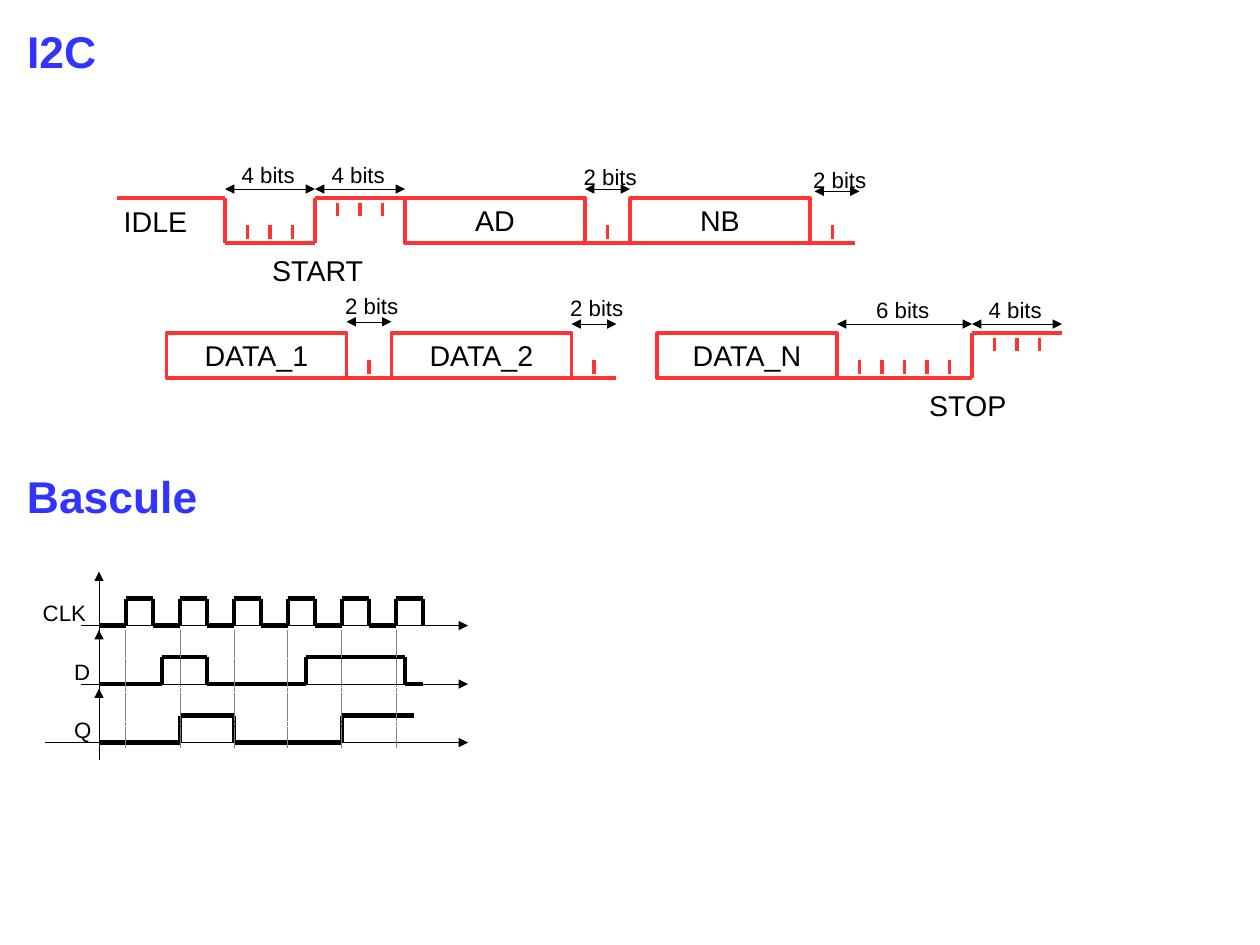
from pptx import Presentation
from pptx.dml.color import RGBColor
from pptx.enum.dml import MSO_LINE
from pptx.enum.shapes import MSO_CONNECTOR, MSO_SHAPE
from pptx.enum.text import MSO_ANCHOR, MSO_AUTO_SIZE, PP_ALIGN
from pptx.oxml.ns import qn
from pptx.util import Cm, Pt
from lxml.etree import SubElement

COLORS = {"signal": "FF3333", "ink": "000000", "guide": "808080", "title": "3333FF"}
FONT = "Arial"
WIDTH, HEIGHT = 28, 21
BIT, SWING, TICK = 0.5, 1.0, 0.3
HALF_CLOCK, CLOCK_SWING, ORIGIN = 0.6, 0.6, 2.2

FRAMES = [
    (2.6, 4.4, [("idle", 4.8, ""), ("low", 4, "4 bits"), ("high", 4, "4 bits"),
                ("box", 8, "AD"), ("low", 2, "2 bits"),
                ("box", 8, "NB"), ("low", 2, "2 bits")]),
    (3.7, 7.4, [("box", 8, "DATA_1"), ("low", 2, "2 bits"),
                ("box", 8, "DATA_2"), ("low", 2, "2 bits")]),
    (14.6, 7.4, [("box", 8, "DATA_N"), ("low", 6, "6 bits"), ("high", 4, "4 bits")]),
]
SPAN_OFFSETS = {(18, 4.4): (0.1, 0.05), (7.7, 7.4): (0, -0.05)}
LABEL_RISE = {("2 bits", 4.4): 0.69, ("2 bits", 7.4): 0.79}
STATES = [("IDLE", 2.5, 4.4, 2.0), ("START", 5.8, 5.5, 2.6), ("STOP", 20.4, 8.5, 2.3)]
HEADINGS = [("I2C", 0.35, 0.41), ("Bascule", 0.35, 10.31)]
CLOCK_EDGES = [ORIGIN + HALF_CLOCK * step for step in range(1, 13)]
TRACES = [
    ("CLK", 13.9, 1.8, 0.7, 1.5, CLOCK_EDGES, 9.4),
    ("D", 15.2, 1.8, 1.4, 0.9, [3.6, 4.6, 6.8, 9.0], 9.4),
    ("Q", 16.5, 1.0, 1.4, 0.9, [4.0, 5.2, 7.6], 9.2),
]

deck = Presentation()
deck.slide_width, deck.slide_height = Cm(WIDTH), Cm(HEIGHT)
page = deck.slides.add_slide(deck.slide_layouts[5])


def color(name):
    return RGBColor.from_string(COLORS[name])


def draw_line(x1, y1, x2, y2, ink="signal", weight=2.3, arrows=(), dash=None):
    line = page.shapes.add_connector(MSO_CONNECTOR.STRAIGHT, Cm(x1), Cm(y1), Cm(x2), Cm(y2))
    line.line.color.rgb = color(ink)
    if dash:
        line.line.dash_style = dash
    outline = line._element.spPr.find(qn("a:ln"))
    outline.set("w", str(int(Pt(weight))))
    for end in arrows:
        SubElement(outline, qn(f"a:{end}"), type="triangle")
    SubElement(line._element.spPr, qn("a:effectLst"))


def write(shape, text, size, ink="ink", bold=False, align=PP_ALIGN.LEFT):
    frame = shape.text_frame
    frame.text = text
    para = frame.paragraphs[0]
    para.alignment = align
    font = para.runs[0].font
    font.name, font.size, font.bold = FONT, Pt(size), bold
    font.color.rgb = color(ink)
    return frame


def add_label(text, x, y, width, height, size):
    box = page.shapes.add_textbox(Cm(x), Cm(y), Cm(width), Cm(height))
    frame = write(box, text, size)
    frame.word_wrap = False
    frame.auto_size = MSO_AUTO_SIZE.SHAPE_TO_FIT_TEXT


def add_field(text, x, y, width):
    field = page.shapes.add_shape(MSO_SHAPE.RECTANGLE, Cm(x), Cm(y), Cm(width), Cm(SWING))
    field.shadow.inherit = False
    field.fill.background()
    field.line.color.rgb = color("signal")
    field.line.width = Pt(2.3)
    frame = write(field, text, 18, align=PP_ALIGN.CENTER)
    frame.vertical_anchor = MSO_ANCHOR.MIDDLE
    frame.word_wrap = False


def add_bit_span(text, x, top, width):
    shift, drop = SPAN_OFFSETS.get((round(x, 2), top), (0, 0))
    left, y = x + shift, top - 0.2 + drop
    draw_line(left, y, left + width, y, "ink", 0, ("headEnd", "tailEnd"))
    nudge = 0.07 if text == "2 bits" else -0.03
    rise = LABEL_RISE.get((text, top), 0.74)
    add_label(text, left + width / 2 - 0.85 + nudge, y - rise, 1.7, 0.81, 14)


def draw_frame(x, top, parts):
    previous = None
    for level, bits, label in parts:
        width = bits * BIT
        if level == "box":
            add_field(label, x, top, width)
        else:
            y = top + SWING if level == "low" else top
            draw_line(x, y, x + width, y)
            if (previous, level) in (("idle", "low"), ("low", "high")):
                draw_line(x, top + SWING, x, top)
            if label:
                tick_top = top + 0.6 if level == "low" else top + 0.1
                for bit in range(1, bits):
                    draw_line(x + bit * BIT, tick_top + TICK, x + bit * BIT, tick_top)
                add_bit_span(label, x, top, width)
        previous = level
        x += width


def draw_trace(name, base, axis_left, label_left, label_width, edges, end):
    draw_line(ORIGIN, base + 0.4, ORIGIN, base - 1.2, "ink", 0, ("tailEnd",))
    draw_line(axis_left, base, 10.4, base, "ink", 0, ("tailEnd",))
    add_label(name, label_left, base - 0.7, label_width, 0.81, 14)
    stops = [ORIGIN, *edges, end]
    for index, (start, stop) in enumerate(zip(stops, stops[1:])):
        y = base - CLOCK_SWING * (index % 2)
        if stop - start > 0.01:
            draw_line(start, y, stop, y, "ink", 2.83)
    for edge in edges:
        draw_line(edge, base, edge, base - CLOCK_SWING, "ink", 2.83)


for left, top, parts in FRAMES:
    draw_frame(left, top, parts)
for text, left, top, width in STATES:
    add_label(text, left, top, width, 0.97, 18)
for trace in TRACES:
    draw_trace(*trace)
for rising_edge in CLOCK_EDGES[::2]:
    draw_line(rising_edge, 14, rising_edge, 16.6, "guide", 0, dash=MSO_LINE.SQUARE_DOT)

for index, (text, left, top) in enumerate(HEADINGS):
    heading = page.shapes.title if index == 0 else page.shapes.add_textbox(0, 0, 0, 0)
    heading.left, heading.top = Cm(left), Cm(top)
    heading.width, heading.height = Cm(6.53), Cm(2.46)
    frame = write(heading, text, 28, "title", True)
    frame.word_wrap = True
    frame.auto_size = MSO_AUTO_SIZE.NONE
    frame.vertical_anchor = MSO_ANCHOR.TOP

deck.save("out.pptx")
